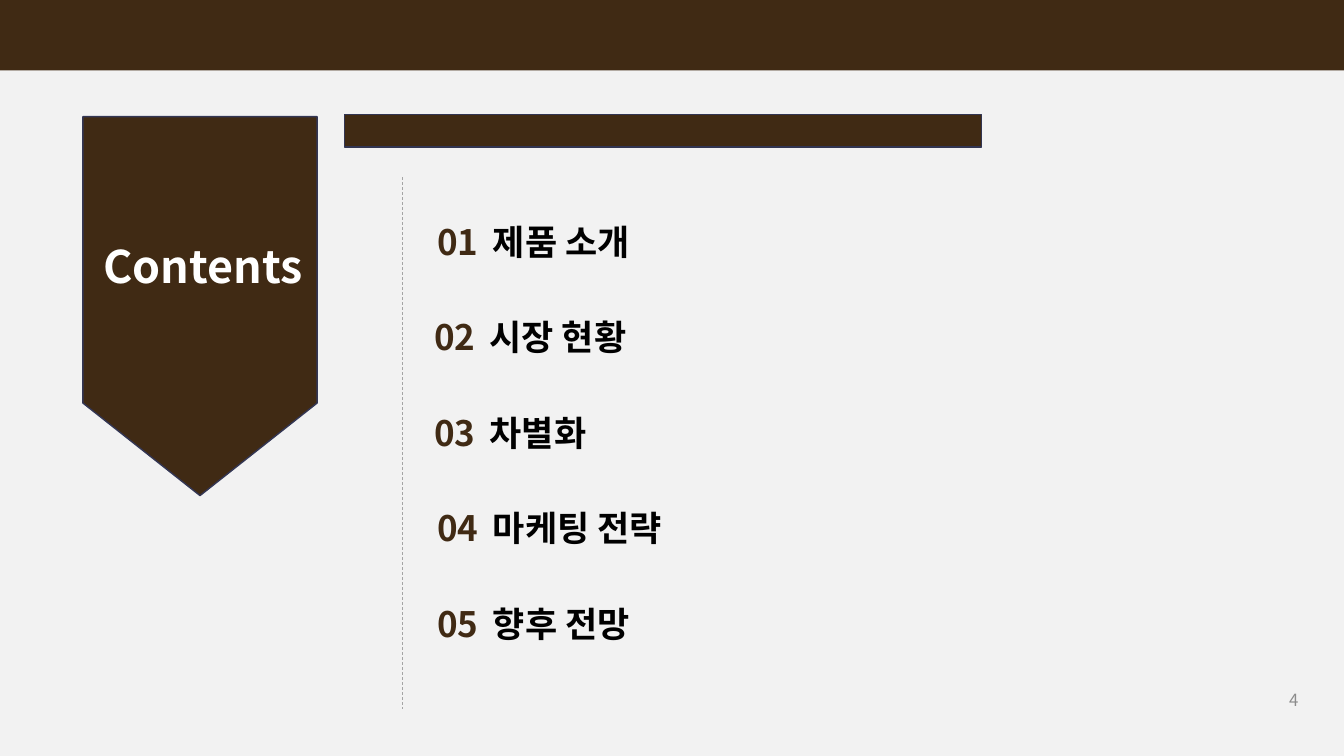
from dataclasses import dataclass

from lxml.etree import SubElement
from pptx import Presentation
from pptx.dml.color import RGBColor
from pptx.enum.dml import MSO_LINE
from pptx.enum.shapes import MSO_CONNECTOR, MSO_SHAPE
from pptx.enum.text import MSO_ANCHOR, MSO_AUTO_SIZE, PP_ALIGN
from pptx.oxml.ns import qn
from pptx.util import Emu, Pt

PX = 9525  # EMU per px, 96 px to the inch
FONT = "Noto Sans CJK KR"
BROWN = "402A14"


@dataclass
class Box:
    x: int
    y: int
    w: int
    h: int

    def emu(self) -> list[Emu]:
        return [Emu(v * PX) for v in (self.x, self.y, self.w, self.h)]


@dataclass
class Chapter:
    number: str
    title: str
    x: int


CHAPTERS = [
    Chapter("01", "제품 소개", 407),
    Chapter("02", "시장 현황", 404),
    Chapter("03", "차별화", 404),
    Chapter("04", "마케팅 전략", 407),
    Chapter("05", "향후 전망", 407),
]
FIRST_TOP, PITCH, TITLE_TAB = 205, 91, 53


def rgb(color: str) -> RGBColor:
    return RGBColor.from_string(color)


def add_block(slide, kind, box: Box, line: str | None = None):
    s = slide.shapes.add_shape(kind, *box.emu())
    s.shadow.inherit = False
    s.fill.solid()
    s.fill.fore_color.rgb = rgb(BROWN)
    if line:
        s.line.color.rgb = rgb(line)
        s.line.width = Pt(1)
    else:
        s.line.fill.background()
    return s


def add_text(slide, box: Box, *runs: tuple[str, str], size: int, bold=False,
             align=PP_ALIGN.LEFT, anchor=MSO_ANCHOR.TOP, grow=True, tab=0):
    """Write one paragraph from (text, colour) runs."""
    tf = slide.shapes.add_textbox(*box.emu()).text_frame
    tf.word_wrap = True
    tf.vertical_anchor = anchor
    tf.auto_size = MSO_AUTO_SIZE.SHAPE_TO_FIT_TEXT if grow else MSO_AUTO_SIZE.NONE
    p = tf.paragraphs[0]
    p.alignment = align
    if tab:
        tabs = SubElement(p._p.get_or_add_pPr(), qn("a:tabLst"))
        SubElement(tabs, qn("a:tab"), pos=str(tab * PX), algn="l")
    for text, color in runs:
        r = p.add_run()
        r.text = text
        r.font.size = Pt(size)
        r.font.bold = bold
        r.font.name = FONT
        r.font.color.rgb = rgb(color)
        SubElement(r._r.get_or_add_rPr(), qn("a:ea"), typeface=FONT)


def add_divider(slide, x: int, top: int, bottom: int) -> None:
    c = slide.shapes.add_connector(
        MSO_CONNECTOR.STRAIGHT, *(Emu(v * PX) for v in (x, top, x, bottom)))
    c.line.color.rgb = rgb("A5A5A5")
    c.line.width = Pt(0.5)
    c.line.dash_style = MSO_LINE.DASH
    SubElement(c._element.spPr, qn("a:effectLst"))


def main() -> None:
    prs = Presentation()
    prs.slide_width, prs.slide_height = Emu(1280 * PX), Emu(720 * PX)
    slide = prs.slides.add_slide(prs.slide_layouts[6])
    slide.background.fill.solid()
    slide.background.fill.fore_color.rgb = rgb("F2F2F2")

    # Top banner
    add_block(slide, MSO_SHAPE.RECTANGLE, Box(0, 0, 1280, 67))

    # Ribbon with the heading
    ribbon = add_block(slide, MSO_SHAPE.PENTAGON, Box(10, 180, 361, 223), "333654")
    ribbon.rotation = 90
    ribbon.adjustments[0] = 0.395
    add_text(slide, Box(82, 223, 223, 61), ("Contents", "FFFFFF"),
             size=32, bold=True, align=PP_ALIGN.CENTER)

    # Bar and divider of the list
    add_block(slide, MSO_SHAPE.RECTANGLE, Box(328, 109, 607, 31), "323552")
    add_divider(slide, 383, 169, 675)

    # Page number
    add_text(slide, Box(1030, 647, 216, 38), ("4", "8C8C8C"), size=12,
             align=PP_ALIGN.RIGHT, anchor=MSO_ANCHOR.MIDDLE, grow=False)

    # Chapters
    for i, chapter in enumerate(CHAPTERS):
        add_text(slide, Box(chapter.x, FIRST_TOP + i * PITCH, 456, 50),
                 (chapter.number + "\t", BROWN), (chapter.title, "000000"),
                 size=25, bold=True, tab=TITLE_TAB)

    prs.save("out.pptx")


if __name__ == "__main__":
    main()
